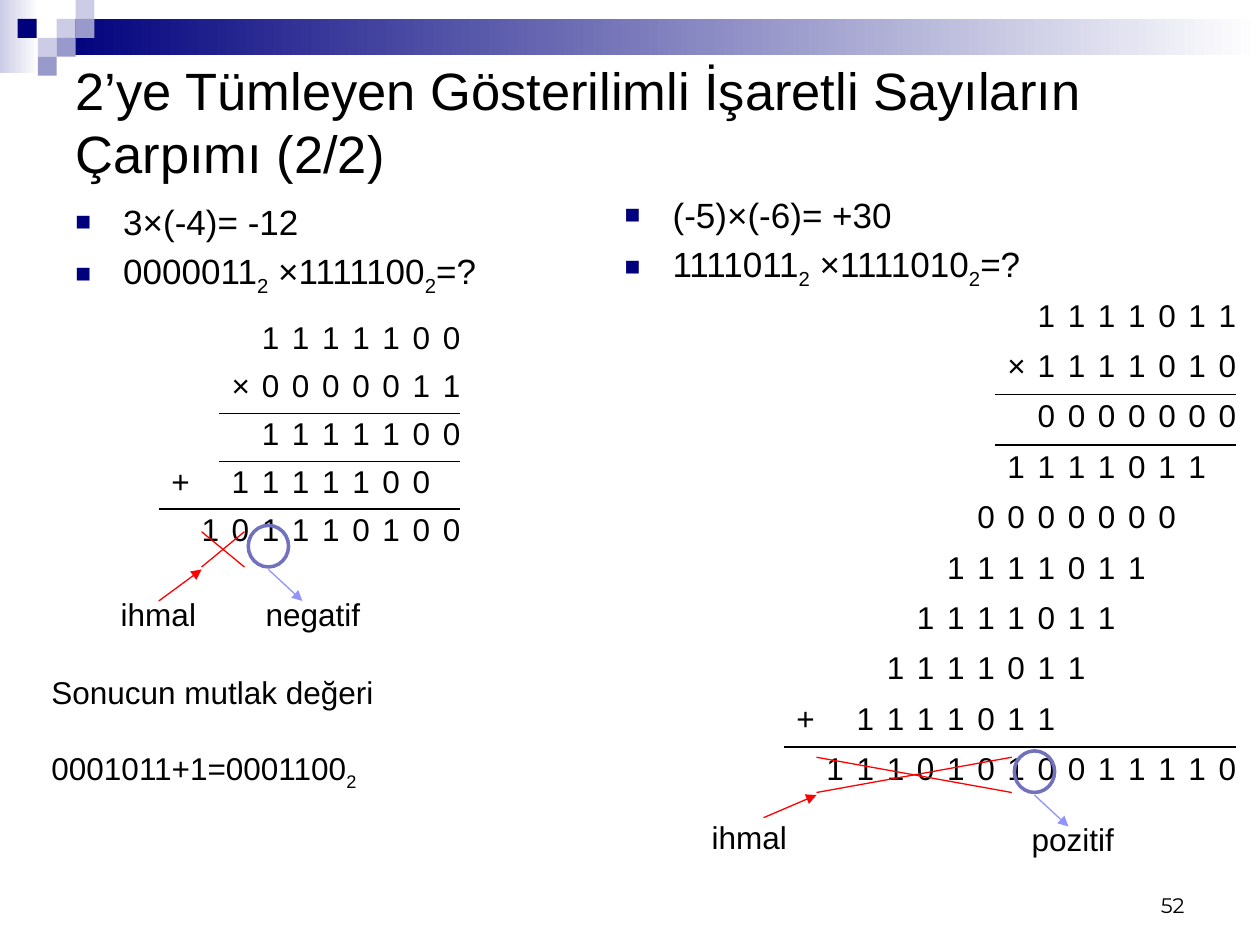
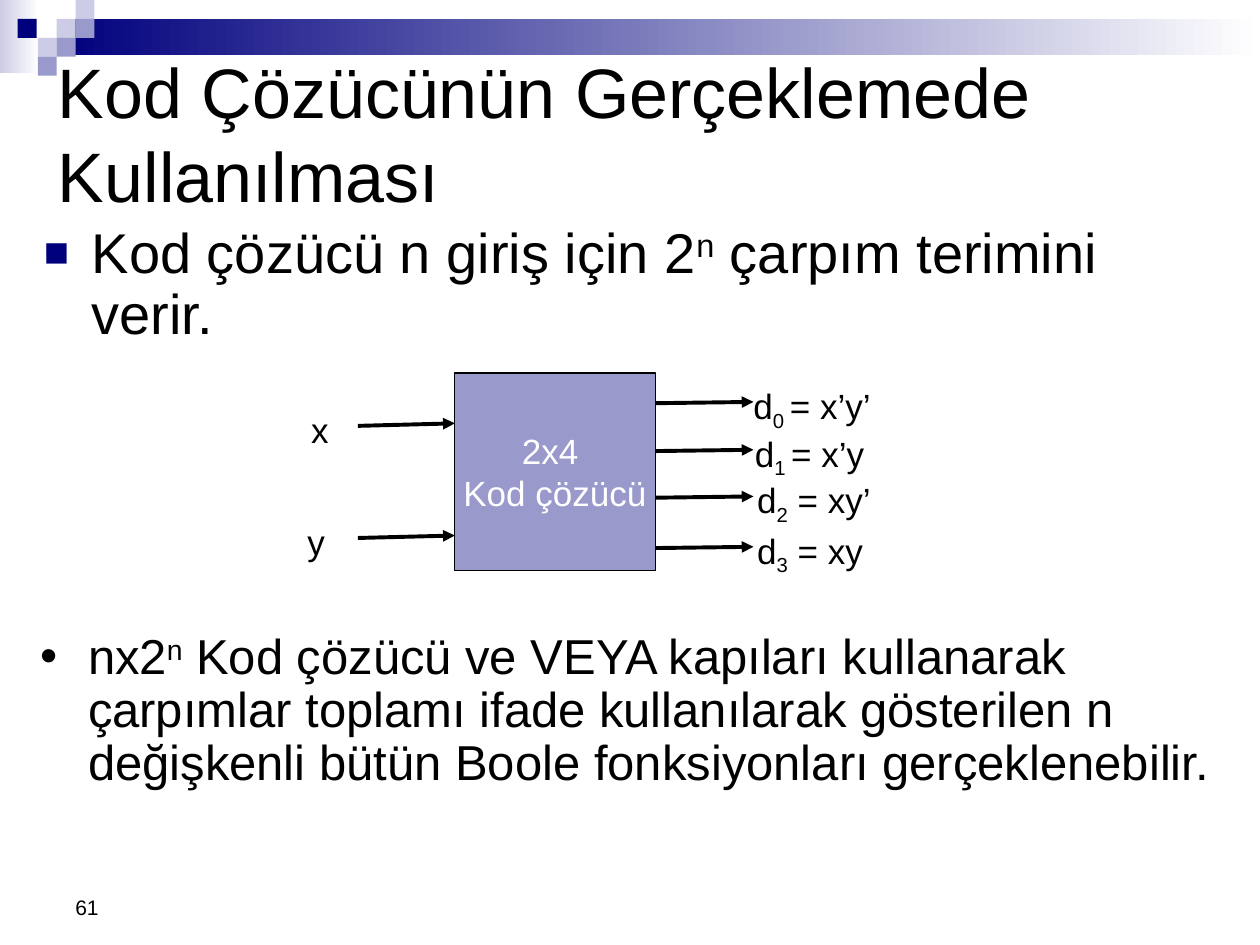
import collections
import dataclasses

import lxml.etree
import pptx
import pptx.dml.color
import pptx.enum.shapes
import pptx.enum.text
import pptx.oxml.ns
import pptx.util

Inches = pptx.util.Inches
Points = pptx.util.Pt
Align = pptx.enum.text.PP_ALIGN
Anchor = pptx.enum.text.MSO_ANCHOR
Shapes = pptx.enum.shapes.MSO_SHAPE
Box = collections.namedtuple("Box", "left top width height")


@dataclasses.dataclass(frozen=True)
class Theme:
    """Colours, fonts and type sizes of the presentation."""
    navy: str = "00007D"
    violet: str = "9999CC"
    pale: str = "CCCCE6"
    white: str = "FFFFFF"
    black: str = "000000"
    red: str = "FF0000"
    ring: str = "7171BD"
    sign_arrow: str = "9393FC"
    font: str = "Arial"
    number_font: str = "Montserrat"
    long_title: int = 30
    title: int = 40
    number: int = 12
    digit: int = 18
    label: int = 20
    lead: int = 32
    closing: int = 28


THEME = Theme()


def rgb(value):
    """Turn a hex string into a colour."""
    return pptx.dml.color.RGBColor.from_string(value)


def place(shape, box):
    """Move and size a shape to a box in inches."""
    shape.left, shape.top, shape.width, shape.height = map(Inches, box)


def add_element(parent, tag, **attributes):
    """Append a DrawingML element to its parent."""
    return lxml.etree.SubElement(parent, pptx.oxml.ns.qn(tag), attributes)


def add_bullet(paragraph, character, color):
    """Give a paragraph a hanging bullet."""
    properties = paragraph._p.get_or_add_pPr()
    indent = Inches(0.38)
    properties.set("marL", str(indent))
    properties.set("indent", str(-indent))
    add_element(add_element(properties, "a:buClr"), "a:srgbClr", val=color)
    add_element(properties, "a:buSzPct", val="75000" if character == "■" else "100000")
    add_element(properties, "a:buFont", typeface=THEME.font)
    add_element(properties, "a:buChar", char=character)


def write(paragraph, text, size=THEME.digit, color=THEME.black, font=THEME.font,
          align=Align.LEFT, shift=-25, bullet=None, bullet_color=THEME.navy,
          before=0, spacing=None):
    """Write text in which parts between bars are raised or lowered by shift."""
    if bullet:
        add_bullet(paragraph, bullet, bullet_color)
    paragraph.alignment = align
    paragraph.space_before = Points(before)
    if spacing:
        paragraph.line_spacing = spacing
    for index, part in enumerate(text.split("|")):
        run = paragraph.add_run()
        run.text = part
        run.font.size = Points(size)
        run.font.name = font
        run.font.color.rgb = rgb(color)
        if index % 2:
            run.font._element.set("baseline", str(shift * 1000))


def fill_frame(frame, lines, gap=0, anchor=Anchor.TOP, wrap=True, inset=None, **style):
    """Write lines as paragraphs separated by a gap in points."""
    frame.word_wrap = wrap
    frame.vertical_anchor = anchor
    if inset is not None:
        frame.margin_left = frame.margin_right = Inches(inset)
        frame.margin_top = frame.margin_bottom = Inches(inset)
    for index, line in enumerate(lines):
        paragraph = frame.add_paragraph() if index else frame.paragraphs[0]
        write(paragraph, line, before=gap if index else 0, **style)


def add_text(slide, box, *lines, **style):
    """Add a text box."""
    shape = slide.shapes.add_textbox(*map(Inches, box))
    fill_frame(shape.text_frame, lines, **style)


def add_shape(slide, kind, box, fill=None, fade=None, line=None, weight=0.75):
    """Add a preset shape with a plain, faded or empty fill."""
    shape = slide.shapes.add_shape(kind, *map(Inches, box))
    shape.shadow.inherit = False
    if fade:
        shape.fill.gradient()
        shape.fill.gradient_angle = 0
        for stop, color in zip(shape.fill.gradient_stops, (fill, fade)):
            stop.color.rgb = rgb(color)
    elif fill:
        shape.fill.solid()
        shape.fill.fore_color.rgb = rgb(fill)
    else:
        shape.fill.background()
    if line:
        shape.line.color.rgb = rgb(line)
        shape.line.width = Points(weight)
    else:
        shape.line.fill.background()
    return shape


def add_line(slide, start, end, color, weight=0.75, arrow=False):
    """Add a straight line, with an arrowhead at its end on request."""
    straight = pptx.enum.shapes.MSO_CONNECTOR.STRAIGHT
    connector = slide.shapes.add_connector(straight, *map(Inches, (*start, *end)))
    connector.line.color.rgb = rgb(color)
    connector.line.width = Points(weight)
    if arrow:
        add_element(connector.line._get_or_add_ln(), "a:tailEnd", type="triangle")
    add_element(connector._element.spPr, "a:effectLst")


def add_band(slide, layout):
    """Build the band and its squares and hand them to the layout."""
    parts = [
        add_shape(slide, Shapes.RECTANGLE, Box(0, 0, 0.31, 0.58), THEME.pale, THEME.white),
        add_shape(slide, Shapes.RECTANGLE, Box(0.45, 0.15, 9.55, 0.29), THEME.navy, THEME.white),
    ]
    squares = (
        (0.45, 0.15, THEME.pale), (0.6, 0, THEME.pale), (0.6, 0.15, THEME.violet),
        (0.3, 0.3, THEME.pale), (0.14, 0.15, THEME.navy),
        (0.45, 0.3, THEME.violet), (0.3, 0.45, THEME.violet),
    )
    for left, top, color in squares:
        parts.append(add_shape(slide, Shapes.RECTANGLE, Box(left, top, 0.15, 0.15), color))
    for part in parts:
        layout.shapes.element.append(part._element)


def add_title(slide, box, text, size):
    """Place and format the title placeholder."""
    title = slide.shapes.title
    place(title, box)
    fill_frame(title.text_frame, [text], anchor=Anchor.MIDDLE, size=size)


def add_rule(cell):
    """Draw a black line under a table cell."""
    border = add_element(cell._tc.get_or_add_tcPr(), "a:lnB", w=str(Points(1)))
    add_element(add_element(border, "a:solidFill"), "a:srgbClr", val=THEME.black)


def add_multiplication(slide, box, rows, rules, padding):
    """Set digits in a grid; rules maps a row to the first column underlined."""
    columns = len(rows[-1])
    table = slide.shapes.add_table(len(rows), columns, *map(Inches, box)).table
    table.first_row = table.horz_banding = False
    style = table._tbl.tblPr.find(pptx.oxml.ns.qn("a:tableStyleId"))
    style.text = "{2D5ABB26-0587-4C30-8999-92F81FD0307C}"
    for column in table.columns:
        column.width = Inches(box.width / columns)
    for row_index, digits in enumerate(rows):
        table.rows[row_index].height = Inches(box.height / len(rows))
        for column_index, digit in enumerate(digits.rjust(columns)):
            cell = table.cell(row_index, column_index)
            cell.margin_top, cell.margin_bottom = map(Inches, padding)
            if column_index >= rules.get(row_index, columns):
                add_rule(cell)
            cell.fill.background()
            if digit != " ":
                write(cell.text_frame.paragraphs[0], digit)


def add_ignored(slide, box, start, label_at):
    """Cross out the surplus digits and point to them."""
    right, bottom = box.left + box.width, box.top + box.height
    add_line(slide, (box.left, box.top), (right, bottom), THEME.red)
    add_line(slide, (right, box.top), (box.left, bottom), THEME.red)
    add_line(slide, start, (box.left, bottom + 0.02), THEME.red, arrow=True)
    add_text(slide, Box(*label_at, 0.81, 0.4), "ihmal", wrap=False)


def add_sign(slide, left, top, label, width):
    """Ring the sign digit and name the sign."""
    add_shape(slide, Shapes.OVAL, Box(left, top, 0.32, 0.33), line=THEME.ring, weight=2)
    add_line(slide, (left + 0.16, top + 0.35), (left + 0.43, top + 0.6),
             THEME.sign_arrow, arrow=True)
    add_text(slide, Box(left + 0.04, top + 0.5, width, 0.4), label, wrap=False)


def add_decoder(slide, box):
    """Draw the decoder block with its inputs and outputs."""
    block = add_shape(slide, Shapes.RECTANGLE, box, THEME.violet, line=THEME.black)
    fill_frame(block.text_frame, ["2x4 ", "Kod çözücü"], size=THEME.label, color=THEME.white,
               align=Align.CENTER, anchor=Anchor.MIDDLE, wrap=False)
    right = box.left + box.width
    wire = {"color": THEME.black, "weight": 2.25, "arrow": True}
    label = {"size": THEME.label, "wrap": False, "inset": 0}
    for name, drop, offset in (("x", 0.42, 1.14), ("y", 1.31, 1.17)):
        height = box.top + drop
        add_line(slide, (box.left - 0.77, height), (box.left, height - 0.02), **wire)
        add_text(slide, Box(box.left - offset, height - 0.14, 0.16, 0.33), name, **label)
    outputs = (("d|0 |= x’y’", 0.24, 0.78, 0.96), ("d|1 |= x’y", 0.62, 0.79, 0.88),
               ("d|2| = xy’", 0.99, 0.81, 0.94), ("d|3| = xy", 1.39, 0.81, 0.89))
    for name, drop, offset, width in outputs:
        height = box.top + drop
        add_line(slide, (right, height), (right + 0.78, height - 0.01), **wire)
        add_text(slide, Box(right + offset, height - 0.15, width, 0.33), name, **label)


def build_multiplication_slide(slide):
    """Fill the slide on multiplying signed numbers."""
    add_title(slide, Box(0.5, 0.5, 9, 0.92),
              "2’ye Tümleyen Gösterilimli İşaretli Sayıların Çarpımı (2/2)", THEME.long_title)
    bullets = {"size": THEME.label, "bullet": "■", "gap": 4}
    add_text(slide, Box(0.5, 1.54, 3.6, 1.03),
             "3×(-4)= -12", "0000011|2| ×1111100|2|=?", **bullets)
    add_text(slide, Box(7.17, 6.83, 2.33, 0.5), "52", size=THEME.number,
             font=THEME.number_font, align=Align.RIGHT, anchor=Anchor.BOTTOM)
    add_multiplication(slide, Box(1.26, 2.52, 2.28, 1.55),
                       ["1111100", "×0000011", "1111100", "+ 1111100 ", " 101110100"],
                       {1: 2, 2: 2, 3: 0}, (0.03, 0.05))
    add_ignored(slide, Box(1.6, 4.22, 0.34, 0.28), (1.26, 4.77), (0.86, 4.67))
    add_sign(slide, 1.97, 4.17, "negatif", 0.96)
    add_text(slide, Box(0.31, 5.29, 2.78, 1.01),
             "Sonucun mutlak değeri", "0001011+1=0001100|2", gap=22, wrap=False)
    add_text(slide, Box(4.86, 1.49, 3.91, 1.03),
             "(-5)×(-6)= +30", "1111011|2| ×1111010|2|=?", **bullets)
    factor = "1111011"
    partials = [digits + " " * shift for shift, digits in
                enumerate(["0000000", factor, "0000000", factor, factor, factor, "+ " + factor])]
    add_multiplication(slide, Box(6.22, 2.33, 3.42, 3.1),
                       [factor, "×1111010", *partials, " 11101010011110"],
                       {1: 7, 2: 7, 8: 0}, (0.04, 0.06))
    add_ignored(slide, Box(6.48, 6.01, 1.55, 0.28), (6.06, 6.49), (5.55, 6.44))
    add_sign(slide, 8.05, 5.96, "pozitif", 0.86)


def build_decoder_slide(slide):
    """Fill the slide on using a decoder."""
    add_text(slide, Box(0.5, 6.83, 2.33, 0.52), "61",
             size=THEME.number, anchor=Anchor.BOTTOM)
    add_title(slide, Box(0.36, 0.65, 9.64, 0.81),
              "Kod Çözücünün Gerçeklemede Kullanılması", THEME.title)
    add_text(slide, Box(0.25, 1.74, 9.58, 0.99),
             "Kod çözücü n giriş için 2|n| çarpım terimini verir.",
             size=THEME.lead, shift=30, bullet="■", spacing=0.9)
    add_decoder(slide, Box(3.61, 2.96, 1.59, 1.57))
    add_text(slide, Box(0.22, 4.97, 9.58, 2.48),
             "nx2|n| Kod çözücü ve VEYA kapıları kullanarak çarpımlar toplamı ifade "
             "kullanılarak gösterilen n değişkenli bütün Boole fonksiyonları gerçeklenebilir.",
             size=THEME.closing, shift=30, bullet="•", bullet_color=THEME.black, spacing=0.9)


def main():
    """Build and save the presentation."""
    presentation = pptx.Presentation()
    presentation.slide_width, presentation.slide_height = Inches(10), Inches(7.5)
    layout = presentation.slide_layouts[5]
    for index, build in enumerate((build_multiplication_slide, build_decoder_slide)):
        slide = presentation.slides.add_slide(layout)
        if index == 0:
            add_band(slide, layout)
        build(slide)
    presentation.save("out.pptx")


if __name__ == "__main__":
    main()
